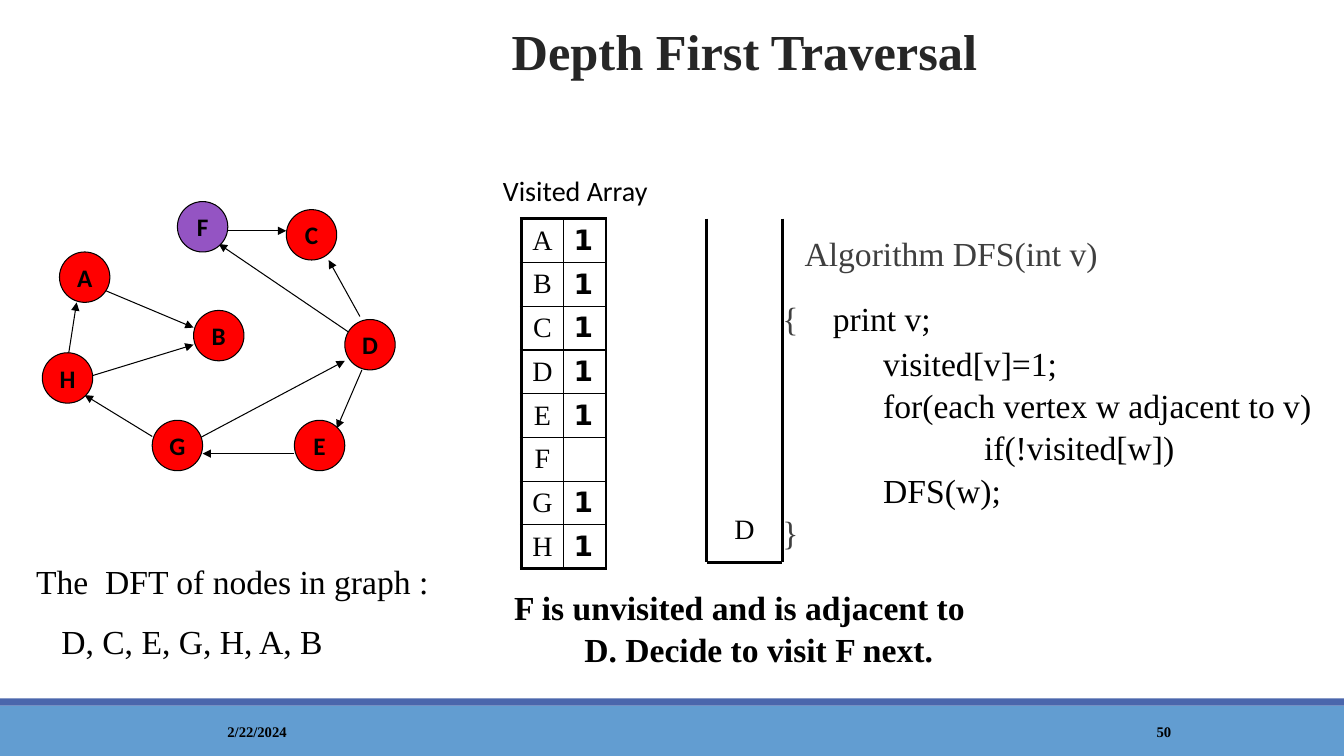
from pptx import Presentation
from pptx.dml.color import RGBColor
from pptx.enum import shapes, text
from pptx.oxml import ns
from pptx.util import Inches, Pt
from lxml import etree

COLORS = {"ink": "000000", "title": "262626", "code": "3F3F3F", "visited": "FF0000",
          "next": "9454C3", "footer": "629DD1", "stripe": "4A66AC"}
SERIF = "Times New Roman"
CENTER = text.PP_ALIGN.CENTER
MIDDLE = text.MSO_ANCHOR.MIDDLE
NODE_SIZE = 0.5

NODES = {"A": (0.59, 2.5), "H": (0.42, 3.5), "B": (1.92, 3.08), "F": (1.76, 2),
         "E": (2.92, 4.17), "D": (3.42, 3.17), "C": (2.84, 2.08), "G": (1.51, 4.17)}
EDGES = [
    ((3.51, 3.33), (2.17, 2.42)), ((3.59, 3.67), (3.34, 4.25)),
    ((0.84, 3.75), (1.92, 3.42)), ((1.84, 4.42), (3.42, 3.58)),
    ((0.67, 3.58), (0.76, 3)), ((0.92, 2.83), (1.92, 3.25)),
    ((3.57, 3.14), (3.26, 2.58)), ((2.92, 4.5), (2.01, 4.5)),
    ((1.51, 4.33), (0.84, 3.92)), ((2.26, 2.29), (2.84, 2.29)),
]
STACK_LINES = [((7.01, 2.17), (7.01, 5.58)), ((7.76, 2.17), (7.76, 5.58)),
               ((7.01, 5.58), (7.76, 5.58))]
# Text, left indent in inches, space before in points, color
ALGORITHM = [
    ("Algorithm DFS(int v)", 0.22, 0, "code"),
    ("{\tprint v;", 0, 16, "code"),
    ("visited[v]=1;", 1, 2, "ink"),
    ("for(each vertex w adjacent to v)", 1, 0, "ink"),
    ("if(!visited[w])", 2, 0, "ink"),
    ("DFS(w);", 1, 0, "ink"),
    ("}", 0, 0, "code"),
]


def rgb(name):
    return RGBColor.from_string(COLORS[name])


def add_xml(parent, tag, **attributes):
    return etree.SubElement(parent, ns.qn(tag), attributes)


def set_indent(paragraph, left, first=0):
    properties = paragraph._p.get_or_add_pPr()
    properties.set("marL", str(Inches(left)))
    properties.set("indent", str(Inches(first)))


def style_run(run, size, font=SERIF, color="ink", bold=False):
    formats = {"name": font, "size": Pt(size), "bold": bold}
    for name, value in formats.items():
        setattr(run.font, name, value)
    run.font.color.rgb = rgb(color)


def write(paragraph, words, size, align=None, spacing=None, before=0, **font):
    formats = {"alignment": align, "line_spacing": spacing, "space_before": Pt(before)}
    for name, value in formats.items():
        setattr(paragraph, name, value)
    run = paragraph.add_run()
    run.text = words
    style_run(run, size, **font)
    return paragraph


def add_box(slide, left, top, width, height, anchor=text.MSO_ANCHOR.TOP):
    """Add an empty wrapped text box and return its text frame."""
    box = slide.shapes.add_textbox(*map(Inches, (left, top, width, height)))
    frame = box.text_frame
    frame.word_wrap = True
    frame.vertical_anchor = anchor
    return frame


def add_shape(slide, kind, box, color):
    shape = slide.shapes.add_shape(kind, *map(Inches, box))
    shape.shadow.inherit = False
    shape.fill.solid()
    shape.fill.fore_color.rgb = rgb(color)
    shape.line.fill.background()
    return shape


def add_line(slide, start, end, width, arrow=False):
    line = slide.shapes.add_connector(
        shapes.MSO_CONNECTOR.STRAIGHT, *map(Inches, start + end))
    line.line.color.rgb = rgb("ink")
    line.line.width = Pt(width)
    if arrow:
        add_xml(line.line._get_or_add_ln(), "a:tailEnd", type="triangle")
    add_xml(line._element.spPr, "a:effectLst")


def add_node(slide, name, left, top):
    node = add_shape(slide, shapes.MSO_SHAPE.OVAL, (left, top, NODE_SIZE, NODE_SIZE),
                     "next" if name == "F" else "visited")
    node.line.color.rgb = rgb("ink")
    node.line.width = Pt(0.75)
    frame = node.text_frame
    frame.word_wrap = False
    frame.vertical_anchor = MIDDLE
    write(frame.paragraphs[0], name, 18, CENTER, font="Calibri", bold=True)


def set_borders(cell, widths):
    properties = cell._tc.get_or_add_tcPr()
    for side, width in widths.items():
        border = add_xml(properties, f"a:ln{side}", w=str(Pt(width)))
        add_xml(add_xml(border, "a:solidFill"), "a:srgbClr", val=COLORS["ink"])


def add_visited_table(slide):
    names = sorted(NODES)
    last = len(names) - 1
    size = 0.42
    table = slide.shapes.add_table(
        len(names), 2, Inches(5.17), Inches(2.17),
        Inches(2 * size), Inches(len(names) * size)).table
    table.first_row = table.horz_banding = False
    for column in table.columns:
        column.width = Inches(size)
    for index, name in enumerate(names):
        table.rows[index].height = Inches(size)
        flag = "" if name == "F" else "1"
        for side, words in enumerate((name, flag)):
            cell = table.cell(index, side)
            cell.vertical_anchor = MIDDLE
            outer = {"L": side == 0, "R": side == 1, "T": index == 0, "B": index == last}
            set_borders(cell, {key: 2.25 if edge else 1 for key, edge in outer.items()})
            cell.fill.background()
            paragraph = cell.text_frame.paragraphs[0]
            if side == 0:
                write(paragraph, words, 20, CENTER)
            elif words:
                write(paragraph, words, 20, font="DejaVu Sans", bold=True)


def add_algorithm(slide):
    frame = add_box(slide, 7.76, 2.24, 5.41, 3.18)
    frame.margin_left = frame.margin_right = 0
    for index, (words, indent, before, color) in enumerate(ALGORITHM):
        paragraph = frame.add_paragraph() if index else frame.paragraphs[0]
        write(paragraph, words, 24, spacing=1.05, before=before, color=color)
        set_indent(paragraph, indent)
        if "\t" in words:
            brace, statement = words.split("\t")
            paragraph.runs[0].text = brace + "\t"
            run = paragraph.add_run()
            run.text = statement
            style_run(run, 24)
            stops = add_xml(paragraph._p.get_or_add_pPr(), "a:tabLst")
            add_xml(stops, "a:tab", pos=str(Inches(1.07)), algn="l")


def add_title(slide):
    title = slide.shapes.title
    box = {"left": 1.72, "top": 0.22, "width": 11.33, "height": 0.74}
    for name, value in box.items():
        setattr(title, name, Inches(value))
    title.text_frame.vertical_anchor = text.MSO_ANCHOR.TOP
    write(title.text_frame.paragraphs[0], "Depth First Traversal", 36, CENTER, 0.9,
          color="title", bold=True)


def add_captions(slide):
    frame = add_box(slide, 4.89, 1.67, 1.83, 0.43)
    write(frame.paragraphs[0], "Visited Array", 20, font="Calibri")

    frame = add_box(slide, 7.01, 5.02, 0.75, 0.42)
    write(frame.paragraphs[0], "D", 20, CENTER)

    frame = add_box(slide, 4.92, 5.75, 4.83, 0.91)
    step = write(frame.paragraphs[0],
                 "F is unvisited and is adjacent to D. Decide to visit F next.",
                 24, CENTER, 1.05, bold=True)
    set_indent(step, 0.38, -0.38)

    frame = add_box(slide, 0.26, 5.5, 4.5, 1.11)
    write(frame.paragraphs[0], "The  DFT of nodes in graph :", 24, spacing=1.05)
    order = write(frame.add_paragraph(), "D, C, E, G, H, A, B", 24, spacing=1.05, before=12)
    set_indent(order, 0.25)


def add_footer(slide):
    for top, height, color in ((7, 0.5, "footer"), (6.93, 0.07, "stripe")):
        add_shape(slide, shapes.MSO_SHAPE.RECTANGLE, (0, top, 13.33, height), color)
    for words, left, width in (("2/22/2024", 1.2, 2.7), ("50", 10.83, 1.43)):
        frame = add_box(slide, left, 7.06, width, 0.4, MIDDLE)
        write(frame.paragraphs[0], words, 10.5, CENTER, bold=True)


def main():
    presentation = Presentation()
    presentation.slide_width = Inches(13.33)
    presentation.slide_height = Inches(7.5)
    slide = presentation.slides.add_slide(presentation.slide_layouts[5])
    add_title(slide)
    add_footer(slide)
    for start, end in EDGES:
        add_line(slide, start, end, 0.75, arrow=True)
    for name, (left, top) in NODES.items():
        add_node(slide, name, left, top)
    for start, end in STACK_LINES:
        add_line(slide, start, end, 2.25)
    add_captions(slide)
    add_visited_table(slide)
    add_algorithm(slide)
    presentation.save("out.pptx")


if __name__ == "__main__":
    main()
